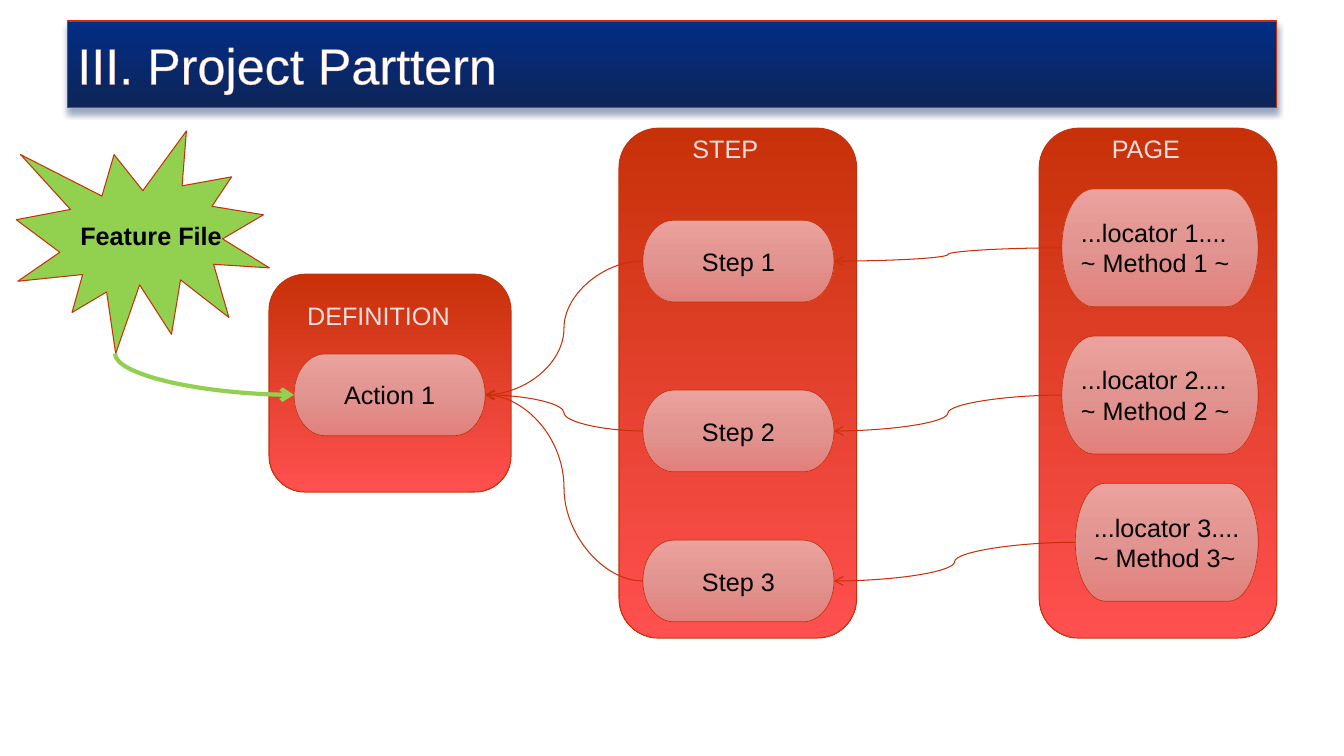
from copy import deepcopy

from lxml import etree
from pptx import Presentation
from pptx.dml.color import RGBColor
from pptx.enum.shapes import MSO_CONNECTOR as Link, MSO_SHAPE as Preset
from pptx.enum.text import MSO_ANCHOR as Anchor, PP_ALIGN as Align
from pptx.oxml import parse_xml
from pptx.oxml.ns import nsdecls, qn
from pptx.util import Cm, Pt

BRICK = RGBColor(0xC7, 0x31, 0x09)
CORAL = RGBColor(0xFF, 0x50, 0x50)
NAVY = RGBColor(0x01, 0x2D, 0x86)
DEEP_NAVY = RGBColor(0x0E, 0x25, 0x57)
SHADOW = RGBColor(0x00, 0x20, 0x60)
OUTLINE = RGBColor(0xE0, 0xAD, 0xAA)
ROSE = (RGBColor(0xEB, 0xA1, 0x9D), RGBColor(0xE1, 0x94, 0x90), RGBColor(0xE2, 0x80, 0x7C))
BLUSH = RGBColor(0xF3, 0xDE, 0xDD)
GREEN = RGBColor(0x92, 0xD0, 0x50)
WHITE = RGBColor(0xFF, 0xFF, 0xFF)
BLACK = RGBColor(0, 0, 0)


def add_block(page, preset, box, colors, line_width=0.75):
    """Place a shape; several colours make an even top-to-bottom gradient."""
    shape = page.shapes.add_shape(preset, *map(Cm, box))
    shape.shadow.inherit = False
    if len(colors) == 1:
        shape.fill.solid()
        shape.fill.fore_color.rgb = colors[0]
    else:
        shape.fill.gradient()
        shape.fill.gradient_angle = 270
        stop_list = shape._element.spPr.find(".//" + qn("a:gsLst"))
        for _ in colors[2:]:
            stop_list.insert(1, deepcopy(stop_list[0]))
        for index, (stop, color) in enumerate(zip(shape.fill.gradient_stops, colors)):
            stop.position = index / (len(colors) - 1)
            stop.color.rgb = color
    shape.line.color.rgb = BRICK
    shape.line.width = Pt(line_width)
    return shape


def write(shape, text, color=BLACK, size=18, align=Align.LEFT, anchor=Anchor.MIDDLE,
          bold=False, wrap=False):
    frame = shape.text_frame
    frame.text = text
    frame.word_wrap = wrap
    frame.vertical_anchor = anchor
    for para in frame.paragraphs:
        para.alignment = align
        for span in para.runs:
            span.font.name = "Arial"
            span.font.size = Pt(size)
            span.font.bold = bold
            span.font.color.rgb = color


def add_title(page, box, text):
    bar = add_block(page, Preset.FLOWCHART_PROCESS, box, (NAVY, DEEP_NAVY))
    write(bar, text, WHITE, 36)
    # Soft shadow below the bar
    bar._element.spPr.find(qn("a:effectLst")).append(parse_xml(
        f'<a:outerShdw {nsdecls("a")} blurRad="{Pt(4)}" dist="{Pt(4)}" dir="5400000" '
        f'rotWithShape="0"><a:srgbClr val="{SHADOW}"><a:alpha val="38000"/></a:srgbClr>'
        '</a:outerShdw>'))
    # Thin outline around the letters
    bar.text_frame.paragraphs[0].runs[0].font._element.insert(0, parse_xml(
        f'<a:ln {nsdecls("a")} w="{Pt(0.8)}"><a:solidFill><a:srgbClr val="{OUTLINE}"/>'
        '</a:solidFill></a:ln>'))


def add_panel(page, box, heading, heading_box, nodes, align=Align.CENTER):
    """Draw a red panel; heading and nodes are placed from its top left corner."""
    left, top = box[:2]
    add_block(page, Preset.ROUNDED_RECTANGLE, box, (BRICK, CORAL))
    dx, dy, width, height = heading_box
    label = page.shapes.add_textbox(Cm(left + dx), Cm(top + dy), Cm(width), Cm(height))
    write(label, heading, BLUSH, anchor=Anchor.TOP, wrap=True)
    pills = []
    for text, (dx, dy, width, height) in nodes:
        pill = add_block(page, Preset.FLOWCHART_TERMINATOR,
                         (left + dx, top + dy, width, height), ROSE, 0.5)
        write(pill, text, align=align)
        pills.append(pill)
    return pills


def style_arrow(arrow, color, width):
    arrow.line.color.rgb = color
    arrow.line.width = Pt(width)
    etree.SubElement(arrow.line._get_or_add_ln(), qn("a:tailEnd"), type="arrow")
    etree.SubElement(arrow._element.spPr, qn("a:effectLst"))


def link_left(page, source, target):
    """Curve from the left side of source to the right side of target."""
    arrow = page.shapes.add_connector(Link.CURVE, 0, 0, 0, 0)
    arrow.begin_connect(source, 1)
    arrow.end_connect(target, 3)
    style_arrow(arrow, BRICK, 0.75)


def add_feature(page, box, target):
    left, top, width, height = box
    seal = add_block(page, Preset.EXPLOSION1, box, (GREEN,))
    write(seal, "Feature File", bold=True)
    # Quarter curve from the lowest tip, down and then right into the target
    start_x, start_y = Cm(left + 2.49), Cm(top + height)
    run = target.left - start_x
    drop = target.top + target.height // 2 - start_y
    x = start_x + (run - drop) // 2
    y = start_y + (drop - run) // 2
    arrow = page.shapes.add_connector(Link.CURVE, x, y + run, x + drop, y)
    properties = arrow._element.spPr
    properties.find(qn("a:xfrm")).set("rot", "5400000")
    properties.find(qn("a:prstGeom")).set("prst", "curvedConnector2")
    style_arrow(arrow, GREEN, 3)


def build_pattern_slide(page):
    add_title(page, (1.7, 0.53, 30.48, 2.18), "III. Project Parttern")

    # Panels
    locator_boxes = [(0.57, 1.53, 4.95, 2.97), (0.57, 5.24, 4.95, 2.97),
                     (0.91, 8.95, 4.61, 2.97)]
    locator_texts = ["...locator 1....\n~ Method 1 ~", "...locator 2....\n~ Method 2 ~",
                     "...locator 3....\n~ Method 3~"]
    locators = add_panel(page, (26.19, 3.23, 5.99, 12.85), "PAGE", (1.58, 0, 2.84, 1.02),
                         zip(locator_texts, locator_boxes), Align.LEFT)
    steps = add_panel(page, (15.6, 3.23, 5.99, 12.85), "STEP", (1.6, 0, 2.84, 1.02),
                      [(f"Step {number}", (0.6, dy, 4.82, 2.06))
                       for number, dy in enumerate((2.32, 6.6, 10.38), 1)])
    action, = add_panel(page, (6.78, 6.91, 6.1, 5.49), "DEFINITION", (0.71, 0.53, 4.62, 1.02),
                        [("Action 1", (0.63, 2.01, 4.82, 2.06))])

    # Links between panels
    for locator, step in zip(locators, steps):
        link_left(page, locator, step)
    for step in steps:
        link_left(page, step, action)

    add_feature(page, (0.41, 3.3, 6.38, 5.61), action)


def main():
    deck = Presentation()
    deck.slide_width = Cm(33.87)
    deck.slide_height = Cm(19.05)
    build_pattern_slide(deck.slides.add_slide(deck.slide_layouts[6]))
    deck.save("out.pptx")


if __name__ == "__main__":
    main()
